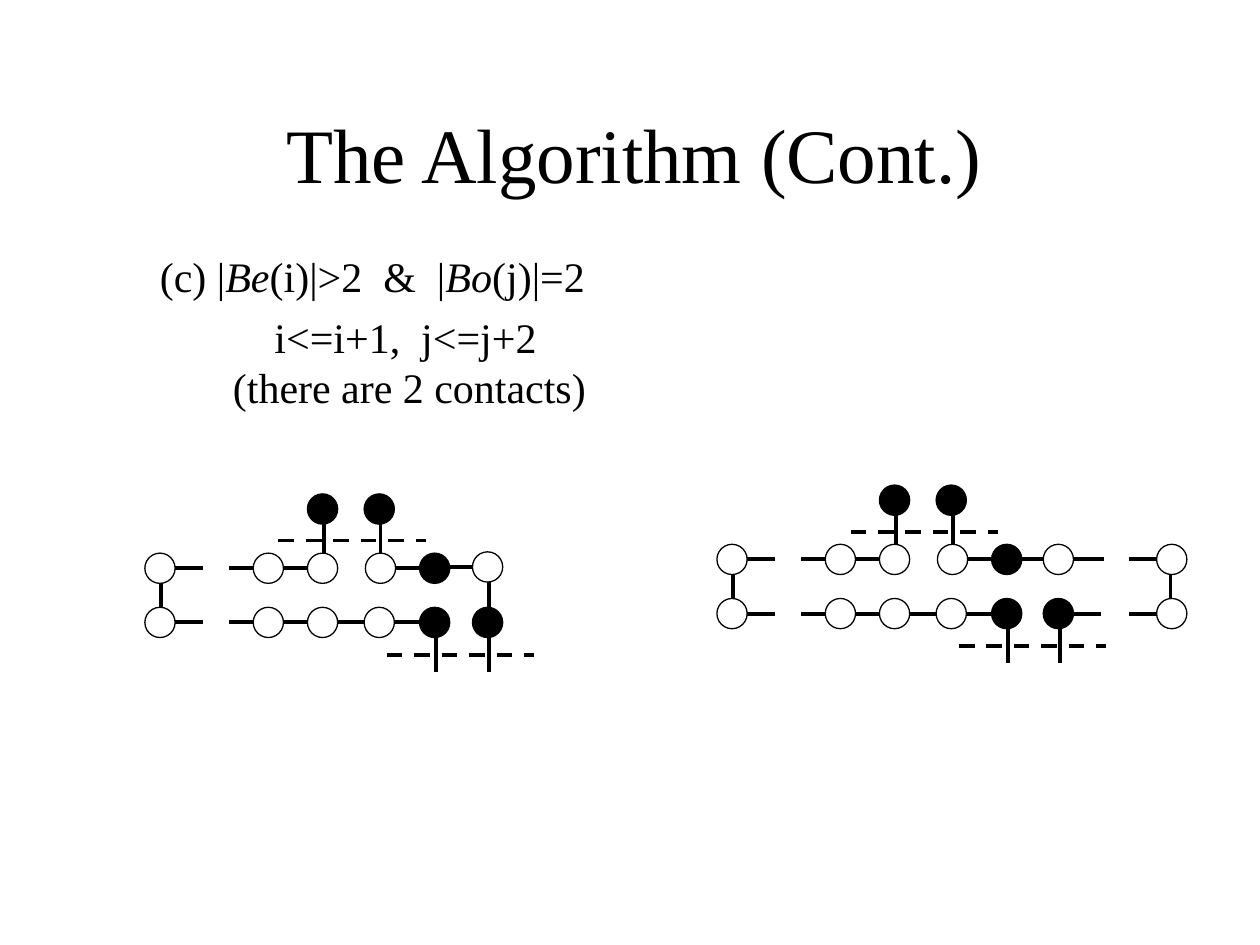
from dataclasses import dataclass

from lxml.etree import SubElement
from pptx import Presentation
from pptx.dml.color import RGBColor
from pptx.enum.dml import MSO_LINE
from pptx.enum.shapes import MSO_CONNECTOR, MSO_SHAPE
from pptx.enum.text import MSO_ANCHOR, PP_ALIGN
from pptx.oxml.ns import qn
from pptx.util import Inches, Pt


@dataclass(frozen=True)
class Theme:
    black: RGBColor = RGBColor(0, 0, 0)
    white: RGBColor = RGBColor(255, 255, 255)
    font: str = "Times New Roman"
    title: int = 44
    body: int = 24
    bond: float = 2.25
    outline: float = 0.75


THEME = Theme()
NODE = 0.24
TOP, UPPER, LOWER = 0.12, 0.59, 1.02


def add_text(frame, runs, size, align=PP_ALIGN.LEFT, before=0, margin=0, indent=0, first=False):
    paragraph = frame.paragraphs[0] if first else frame.add_paragraph()
    paragraph.alignment = align
    paragraph.space_before = Pt(before)
    properties = paragraph._p.get_or_add_pPr()
    properties.set("marL", str(Inches(margin)))
    properties.set("indent", str(Inches(indent)))
    for text, italic in runs:
        if text == "\n":
            paragraph.add_line_break()
            continue
        run = paragraph.add_run()
        run.text = text
        run.font.name = THEME.font
        run.font.size = Pt(size)
        run.font.italic = italic
        run.font.color.rgb = THEME.black


def add_frame(slide, box, anchor=MSO_ANCHOR.TOP):
    frame = slide.shapes.add_textbox(*map(Inches, box)).text_frame
    frame.word_wrap = True
    frame.vertical_anchor = anchor
    return frame


def add_title(slide, box):
    frame = add_frame(slide, box, MSO_ANCHOR.MIDDLE)
    add_text(frame, [("The Algorithm (Cont.)", False)], THEME.title,
             align=PP_ALIGN.CENTER, first=True)


def add_case(slide, box):
    frame = add_frame(slide, box)
    condition = [("(c) |", False), ("Be", True), ("(i)|>2  &  |", False),
                 ("Bo", True), ("(j)|=2", False)]
    step = [("i<=i+1,  j<=j+2", False), ("\n", False), ("(there are 2 contacts)", False)]
    add_text(frame, condition, THEME.body, margin=1.08, indent=-0.58, first=True)
    add_text(frame, step, THEME.body, before=6, margin=1.08, indent=0.33)


def add_bond(slide, origin, start, end, dashed=False):
    left, top = origin
    ends = [Inches(base + offset) for point in (start, end)
            for base, offset in zip((left, top), point)]
    connector = slide.shapes.add_connector(MSO_CONNECTOR.STRAIGHT, *ends)
    connector.line.color.rgb = THEME.black
    connector.line.width = Pt(THEME.bond)
    if dashed:
        connector.line.dash_style = MSO_LINE.DASH
    SubElement(connector._element.spPr, qn("a:effectLst"))


def add_node(slide, origin, center, filled):
    left, top = (base + offset - NODE / 2 for base, offset in zip(origin, center))
    shape = slide.shapes.add_shape(MSO_SHAPE.OVAL, Inches(left), Inches(top),
                                   Inches(NODE), Inches(NODE))
    shape.shadow.inherit = False
    shape.fill.solid()
    shape.fill.fore_color.rgb = THEME.black if filled else THEME.white
    shape.line.color.rgb = THEME.black
    shape.line.width = Pt(THEME.outline)


def add_fold(slide, origin, last, rows, columns, open_nodes):
    shared_rows = [(UPPER, 0.13, 0.46), (UPPER, 0.67, 1.0), (UPPER, 1.04, 1.38),
                   (UPPER, 1.89, 2.22), (LOWER, 0.13, 0.46), (LOWER, 0.67, 1.0),
                   (LOWER, 1.04, 1.81), (LOWER, 1.96, 2.29)]
    shared_columns = [(0.13, 0.65, 0.98), (1.42, 0.21, 0.54), (1.87, 0.21, 0.62),
                      (2.31, 1.04, 1.41), (last + 0.01, 1.08, 1.41)]
    for y, start, end in shared_rows + rows:
        add_bond(slide, origin, (start, y), (end, y))
    for x, start, end in shared_columns + columns:
        add_bond(slide, origin, (x, start), (x, end))
    for x, y in ((1.06, 0.37), (1.92, 1.28)):
        add_bond(slide, origin, (x, y), (x + 1.17, y), dashed=True)

    filled_nodes = [(1.41, TOP), (1.86, TOP), (2.3, UPPER), (2.3, LOWER), (last, LOWER)]
    shared_nodes = [(x, y) for y in (UPPER, LOWER) for x in (0.12, 0.98, 1.41)]
    shared_nodes += [(1.87, UPPER), (1.86, LOWER)]
    for center in filled_nodes:
        add_node(slide, origin, center, True)
    for center in shared_nodes + open_nodes:
        add_node(slide, origin, center, False)


def add_closed_fold(slide, origin):
    add_fold(slide, origin, 2.72, rows=[(0.58, 2.35, 2.68)],
             columns=[(2.73, 0.61, 1.02)], open_nodes=[(2.72, 0.58)])


def add_extended_fold(slide, origin):
    add_fold(slide, origin, 2.71,
             rows=[(UPPER, 2.37, 2.7), (UPPER, 2.74, 3.07), (UPPER, 3.27, 3.6),
                   (LOWER, 2.71, 3.05), (LOWER, 3.27, 3.6)],
             columns=[(3.6, 0.65, 0.98)],
             open_nodes=[(2.71, UPPER), (3.61, UPPER), (3.61, LOWER)])


def main():
    presentation = Presentation()
    presentation.slide_width = Inches(10)
    presentation.slide_height = Inches(7.5)
    slide = presentation.slides.add_slide(presentation.slide_layouts[6])
    add_title(slide, (0.35, 0.5, 9.37, 1.42))
    add_case(slide, (0.67, 1.94, 8.75, 1.4))
    add_closed_fold(slide, (1.15, 3.92))
    add_extended_fold(slide, (5.69, 3.85))
    presentation.save("out.pptx")


if __name__ == "__main__":
    main()
